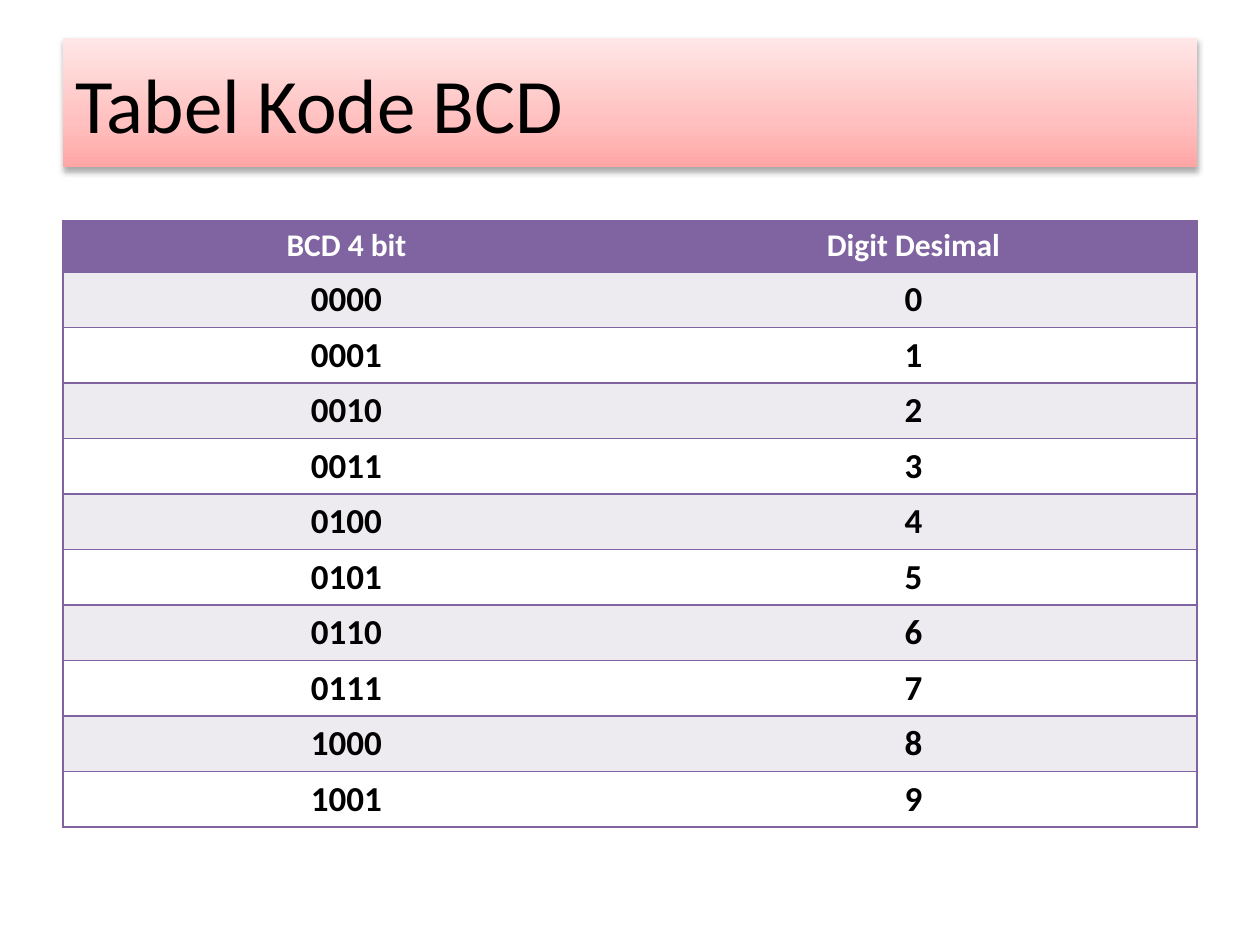
from copy import deepcopy

from lxml.etree import SubElement
from pptx import Presentation
from pptx.dml.color import RGBColor
from pptx.enum.shapes import MSO_SHAPE as Shape
from pptx.enum.text import MSO_ANCHOR as Anchor, PP_ALIGN as Align
from pptx.oxml.ns import qn
from pptx.util import Inches, Pt

FONT = "Calibri"
PURPLE = "8064A2"
LAVENDER = "EDEAF0"
WHITE = "FFFFFF"
BLACK = "000000"
PLAIN_STYLE = "{2D5ABB26-0587-4C30-8999-92F81FD0307C}"


def color(value):
    return RGBColor.from_string(value)


def write(frame, text, size, ink=BLACK, bold=False, align=Align.LEFT):
    para = frame.paragraphs[0]
    para.alignment = align
    span = para.add_run()
    span.text = text
    span.font.name = FONT
    span.font.size = Pt(size)
    span.font.bold = bold
    span.font.color.rgb = color(ink)


def add_gradient(fill, stops, angle):
    fill.gradient()
    fill.gradient_angle = angle
    first = fill.gradient_stops[0]
    stop_list = fill._xPr.find(qn("a:gradFill")).find(qn("a:gsLst"))
    for _ in stops[2:]:
        stop_list.append(deepcopy(stop_list[0]))
    for stop, (position, value) in zip(fill.gradient_stops, stops):
        stop.position = position
        stop.color.rgb = color(value)


def add_shadow(shape, blur, distance, opacity):
    shape.shadow.inherit = False
    effects = shape._element.spPr.find(qn("a:effectLst"))
    shadow = SubElement(effects, qn("a:outerShdw"), blurRad=str(Pt(blur)),
                        dist=str(Pt(distance)), dir="5400000", rotWithShape="0")
    shade = SubElement(shadow, qn("a:srgbClr"), val=BLACK)
    SubElement(shade, qn("a:alpha"), val=str(opacity * 1000))


def add_title(slide, text):
    box = slide.shapes.add_shape(Shape.RECTANGLE, Inches(0.5), Inches(0.3),
                                 Inches(9), Inches(1.03))
    add_gradient(box.fill, [(0, "FFA6A5"), (0.35, "FFC0BF"), (1, "FFE7E7")], 90)
    box.line.fill.background()
    add_shadow(box, blur=3.5, distance=2.2, opacity=32)
    box.text_frame.word_wrap = True
    box.text_frame.vertical_anchor = Anchor.MIDDLE
    write(box.text_frame, text, 44)


def add_borders(cell, sides):
    properties = cell._tc.get_or_add_tcPr()
    for side in sides:
        border = SubElement(properties, qn(f"a:ln{side}"), w=str(Pt(1)))
        paint = SubElement(border, qn("a:solidFill"))
        SubElement(paint, qn("a:srgbClr"), val=PURPLE)


def add_code_table(slide, rows):
    row_height = Inches(0.41)
    frame = slide.shapes.add_table(len(rows), 2, Inches(0.5), Inches(1.75),
                                   Inches(9), row_height * len(rows))
    table = frame.table
    table._tbl.tblPr.find(qn("a:tableStyleId")).text = PLAIN_STYLE
    for row_index, values in enumerate(rows):
        table.rows[row_index].height = row_height
        header = row_index == 0
        band = PURPLE if header else LAVENDER if row_index % 2 else WHITE
        for column, (text, sides) in enumerate(zip(values, ("LTB", "RTB"))):
            cell = table.cell(row_index, column)
            add_borders(cell, sides)
            cell.fill.solid()
            cell.fill.fore_color.rgb = color(band)
            write(cell.text_frame, text, 18 if header else 20,
                  ink=WHITE if header else BLACK, bold=True, align=Align.CENTER)


def main():
    deck = Presentation()
    deck.slide_width, deck.slide_height = Inches(10), Inches(7.5)
    slide = deck.slides.add_slide(deck.slide_layouts[6])
    add_title(slide, "Tabel Kode BCD")
    codes = [(f"{digit:04b}", str(digit)) for digit in range(10)]
    add_code_table(slide, [("BCD 4 bit", "Digit Desimal")] + codes)
    deck.save("out.pptx")


main()
